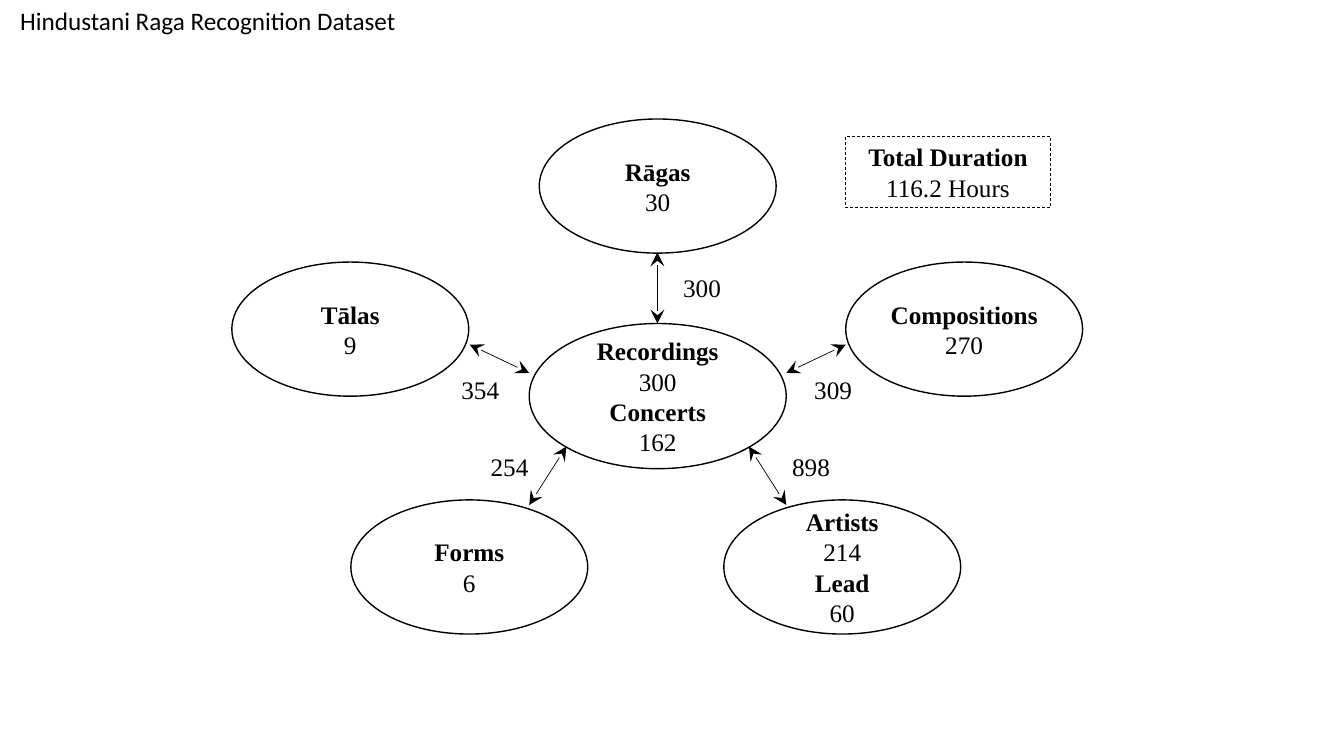
from lxml import etree
from pptx import Presentation
from pptx.dml.color import RGBColor
from pptx.enum import dml, shapes, text
from pptx.oxml import ns
from pptx.util import Pt

BLACK = RGBColor(0, 0, 0)
SERIF = "Times New Roman"
HUB = (378, 231.1, 183.6, 103.7)
NODE = (169.2, 95.8)
LABEL = (67, 29)

NODES = [
    (604.1, 187.2, ["Compositions", "270"]),
    (517, 357.1, ["Artists", "214", "Lead", "60"]),
    (250.6, 357.1, ["Forms", "6"]),
    (165.6, 187.2, ["Tālas", "9"]),
    (385.2, 85, ["Rāgas", "30"]),
]
LINKS = [
    ((469.6, 180.3), (469.6, 231.1), "300", (468, 190.8)),
    ((335.5, 246.2), (378, 266.4), "354", (309.6, 263.5)),
    ((604.1, 246.2), (561.6, 266.4), "309", (561.6, 263.5)),
    ((404.6, 319), (378, 360.7), "254", (330.5, 319)),
    ((535, 319), (561.6, 360.7), "898", (545.8, 319)),
]


def write(frame, lines, font=SERIF, align=text.PP_ALIGN.CENTER,
          anchor=text.MSO_ANCHOR.TOP, heads=False, side=7.2):
    frame.word_wrap = True
    frame.vertical_anchor = anchor
    frame.margin_left = frame.margin_right = Pt(side)
    frame.margin_top = frame.margin_bottom = Pt(3.6)
    for i, line in enumerate(lines):
        para = frame.paragraphs[0] if i == 0 else frame.add_paragraph()
        para.alignment = align
        para.line_spacing = 1.0
        para.space_before = Pt(0)
        run = para.add_run()
        run.text = line
        run.font.name = font
        run.font.size = Pt(18)
        run.font.bold = heads and i % 2 == 0
        run.font.color.rgb = BLACK


def add_title(slide, line):
    title = slide.shapes.title
    title.left, title.top = Pt(7.2), Pt(0)
    title.width, title.height = Pt(301), Pt(29)
    write(title.text_frame, [line], font="Calibri", align=text.PP_ALIGN.LEFT)


def add_node(slide, kind, box, lines, width=1, side=0):
    node = slide.shapes.add_shape(kind, *map(Pt, box))
    node.shadow.inherit = False
    node.fill.background()
    node.line.color.rgb = BLACK
    node.line.width = Pt(width)
    write(node.text_frame, lines, heads=True, side=side,
          anchor=text.MSO_ANCHOR.MIDDLE)
    return node


def add_arrow(slide, start, end):
    arrow = slide.shapes.add_connector(
        shapes.MSO_CONNECTOR.STRAIGHT, *map(Pt, start + end))
    arrow.line.color.rgb = BLACK
    arrow.line.width = Pt(0.5)
    props = arrow.line._get_or_add_ln()
    for tag in ("a:headEnd", "a:tailEnd"):
        etree.SubElement(props, ns.qn(tag), type="stealth", w="lg", len="lg")
    etree.SubElement(arrow._element.spPr, ns.qn("a:effectLst"))


def add_label(slide, place, line):
    label = slide.shapes.add_textbox(*map(Pt, place + LABEL))
    write(label.text_frame, [line])


def main():
    deck = Presentation()
    deck.slide_width, deck.slide_height = Pt(960), Pt(540)
    slide = deck.slides.add_slide(deck.slide_layouts[5])
    add_title(slide, "Hindustani Raga Recognition Dataset")
    oval = shapes.MSO_SHAPE.OVAL
    add_node(slide, oval, HUB, ["Recordings", "300", "Concerts", "162"])
    for left, top, lines in NODES:
        add_node(slide, oval, (left, top) + NODE, lines)
    for start, end, count, place in LINKS:
        add_arrow(slide, start, end)
        add_label(slide, place, count)
    total = add_node(slide, shapes.MSO_SHAPE.RECTANGLE,
                     (604.1, 97.4, 146.2, 50.9),
                     ["Total Duration", "116.2 Hours"], width=0.5, side=7.2)
    total.line.dash_style = dml.MSO_LINE.DASH
    deck.save("out.pptx")


main()
